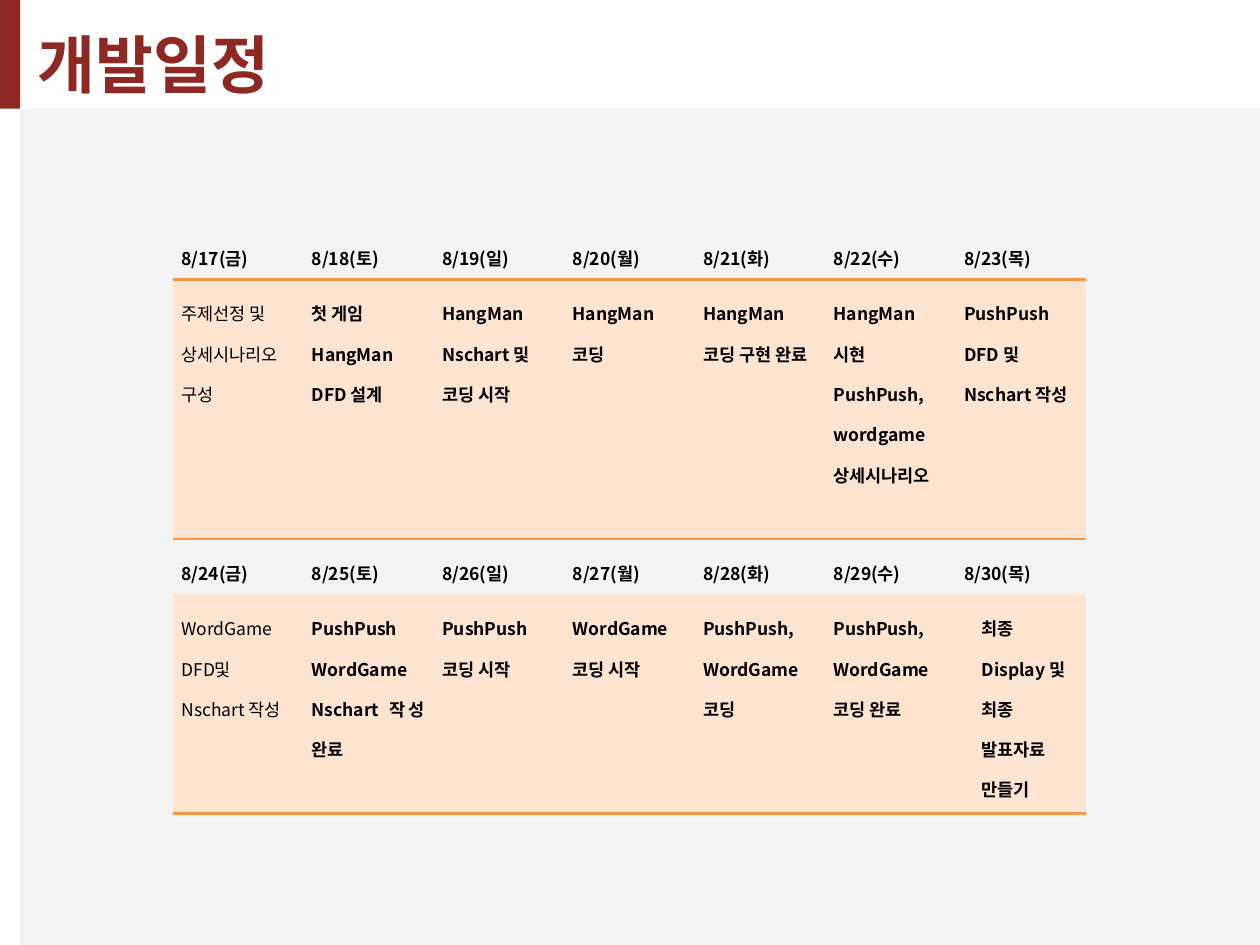
from lxml import etree
from pptx import Presentation
from pptx.dml.color import RGBColor
from pptx.enum.shapes import MSO_SHAPE
from pptx.enum.text import MSO_AUTO_SIZE, PP_ALIGN
from pptx.oxml.ns import qn
from pptx.util import Inches, Pt

RECTANGLE = MSO_SHAPE.RECTANGLE
JUSTIFY = PP_ALIGN.JUSTIFY
FIT_SHAPE = MSO_AUTO_SIZE.SHAPE_TO_FIT_TEXT
PLAIN_TABLE = "{2D5ABB26-0587-4C30-8999-92F81FD0307C}"

WIDTH, HEIGHT = 10, 7.5
BAR_WIDTH, HEADER_HEIGHT = 0.016, 0.115
FIRST_DAY, DAYS = 17, "금토일월화수목"

# One list of paragraphs per day; "=" marks a justified paragraph.
WEEKS = [
    [
        ["주제선정 및 상세시나리오 구성"],
        ["=첫 게임", "=HangMan", "DFD 설계"],
        ["=HangMan", "Nschart 및 코딩 시작"],
        ["HangMan 코딩"],
        ["HangMan 코딩 구현 완료"],
        ["=HangMan 시현", "=PushPush,", "=wordgame상세시나리오"],
        ["PushPush DFD 및 Nschart 작성"],
    ],
    [
        ["WordGame DFD및 Nschart 작성"],
        ["=PushPush WordGame", "=Nschart 작성 완료"],
        ["=PushPush", "코딩 시작"],
        ["WordGame코딩 시작"],
        ["=PushPush,", "=WordGame", "코딩"],
        ["=PushPush,", "=WordGame", "코딩 완료"],
        ["최종Display 및 최종 발표자료 만들기"],
    ],
]
ROW_HEIGHTS = [0.44, 2.06, 0.44, 1.74]


def color(hex_code):
    return RGBColor.from_string(hex_code)


class ScheduleSlide:
    """Holds the style and the slide; positions are shares of the slide's size."""

    font_name = "Noto Sans CJK KR"
    accent, panel, ink = "8E2823", "F3F3F3", "000000"
    task_fill, rule = "FDE4D0", "F79646"

    def __init__(self, presentation):
        self.slide = presentation.slides.add_slide(presentation.slide_layouts[6])

    def box(self, left, top, width, height):
        return (Inches(left * WIDTH), Inches(top * HEIGHT),
                Inches(width * WIDTH), Inches(height * HEIGHT))

    def style(self, paragraph, size, hex_code, bold=True):
        font = paragraph.font
        font.name, font.size, font.bold = self.font_name, Pt(size), bold
        font.color.rgb = color(hex_code)
        properties = paragraph._p.pPr.find(qn("a:defRPr"))
        east_asian = etree.Element(qn("a:ea"), typeface=self.font_name)
        properties.find(qn("a:latin")).addnext(east_asian)

    def block(self, left, top, width, height, fill):
        block = self.slide.shapes.add_shape(
            RECTANGLE, *self.box(left, top, width, height))
        block.fill.solid()
        block.fill.fore_color.rgb = color(fill)
        block.line.fill.background()
        block.shadow.inherit = False

    def title(self, text, left, top, width, height):
        frame = self.slide.shapes.add_textbox(
            *self.box(left, top, width, height)).text_frame
        frame.word_wrap = False
        frame.auto_size = FIT_SHAPE
        frame.text = text
        self.style(frame.paragraphs[0], 36, self.accent)

    def border(self, cell, edge):
        """Draw one edge of a cell: lnT for the top, lnB for the bottom."""
        line = etree.Element(qn(f"a:{edge}"), w=str(Pt(1.7)))
        fill = etree.SubElement(line, qn("a:solidFill"))
        etree.SubElement(fill, qn("a:srgbClr"), val=self.rule)
        cell._tc.get_or_add_tcPr().insert(0, line)

    def cell(self, cell, paragraphs, bold=True, fill=None, indent=0):
        cell.margin_left = cell.margin_right = Inches(0.07)
        cell.margin_top = cell.margin_bottom = Inches(0.05)
        if fill:
            cell.fill.solid()
            cell.fill.fore_color.rgb = color(fill)
        else:
            cell.fill.background()
        cell.text = "\n".join(text.lstrip("=") for text in paragraphs)
        for text, paragraph in zip(paragraphs, cell.text_frame.paragraphs):
            paragraph.line_spacing = 1.6
            if text.startswith("="):
                paragraph.alignment = JUSTIFY
            self.style(paragraph, 10, self.ink, bold)
            if indent:
                paragraph._p.pPr.set("marL", str(Inches(indent)))
                paragraph._p.pPr.set("indent", "0")

    def schedule(self, weeks, left, top, width):
        height = sum(ROW_HEIGHTS) / HEIGHT
        table = self.slide.shapes.add_table(
            len(ROW_HEIGHTS), len(DAYS), *self.box(left, top, width, height)).table
        table.first_row = table.horz_banding = False
        table._tbl.tblPr.find(qn("a:tableStyleId")).text = PLAIN_TABLE
        for row, row_height in zip(table.rows, ROW_HEIGHTS):
            row.height = Inches(row_height)
        for week, tasks in enumerate(weeks):
            for day, task in enumerate(tasks):
                date = FIRST_DAY + week * len(DAYS) + day
                last_task = week == len(weeks) - 1 and day == len(DAYS) - 1
                self.cell(table.cell(2 * week, day), [f"8/{date}({DAYS[day]})"])
                self.cell(table.cell(2 * week + 1, day), task, bold=day > 0,
                          fill=self.task_fill, indent=0.14 if last_task else 0)
        for day in range(len(DAYS)):
            for row, edge in ((0, "lnB"), (1, "lnT"), (3, "lnB")):
                self.border(table.cell(row, day), edge)


def main():
    presentation = Presentation()
    presentation.slide_width = Inches(WIDTH)
    presentation.slide_height = Inches(HEIGHT)
    page = ScheduleSlide(presentation)
    page.block(BAR_WIDTH, HEADER_HEIGHT, 1 - BAR_WIDTH, 1 - HEADER_HEIGHT, page.panel)
    page.block(0, 0, BAR_WIDTH, HEADER_HEIGHT, page.accent)
    page.title("개발일정", 0.02, 0.02, 0.22, 0.09)
    page.schedule(WEEKS, 0.137, 0.237, 0.725)
    presentation.save("out.pptx")


if __name__ == "__main__":
    main()
